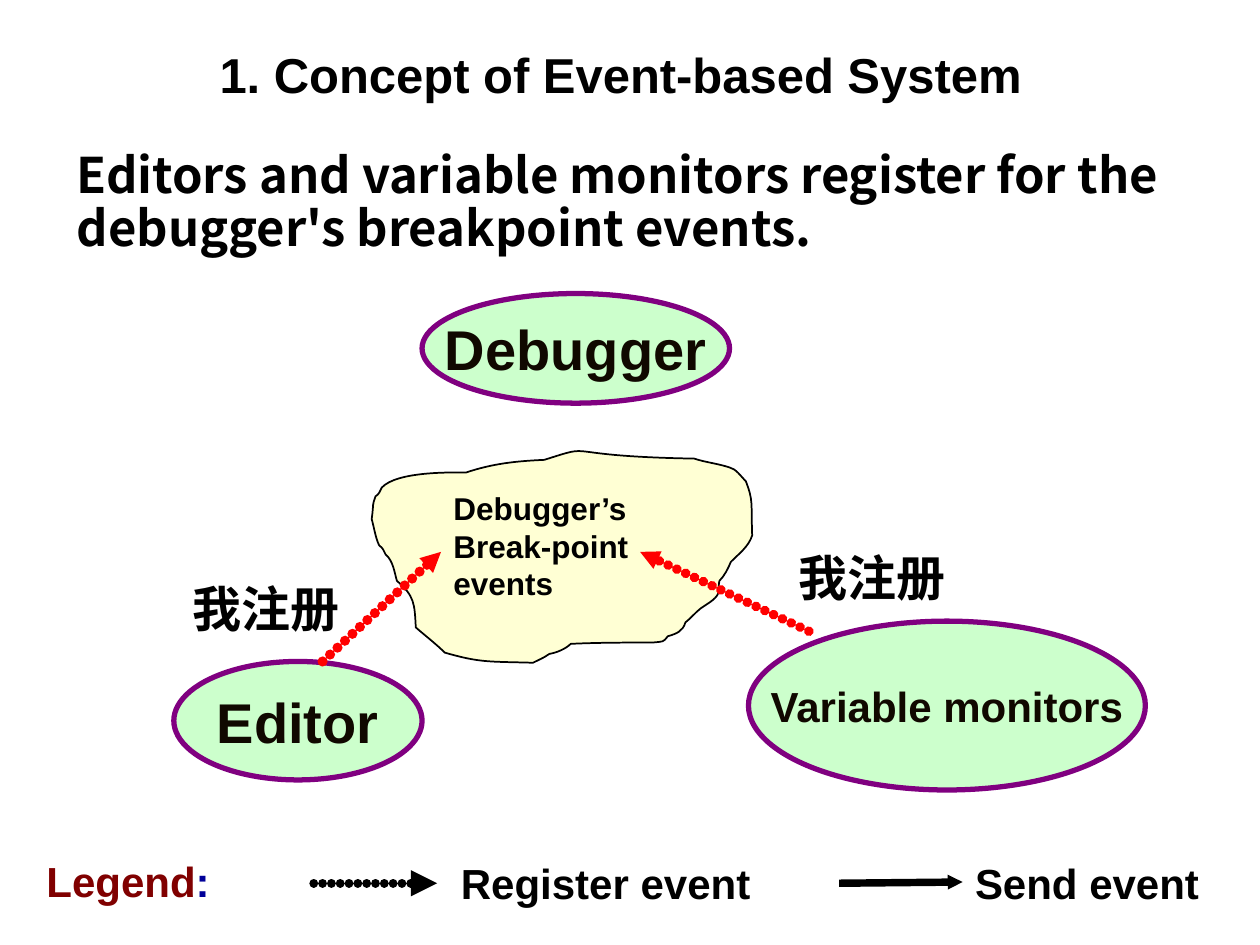
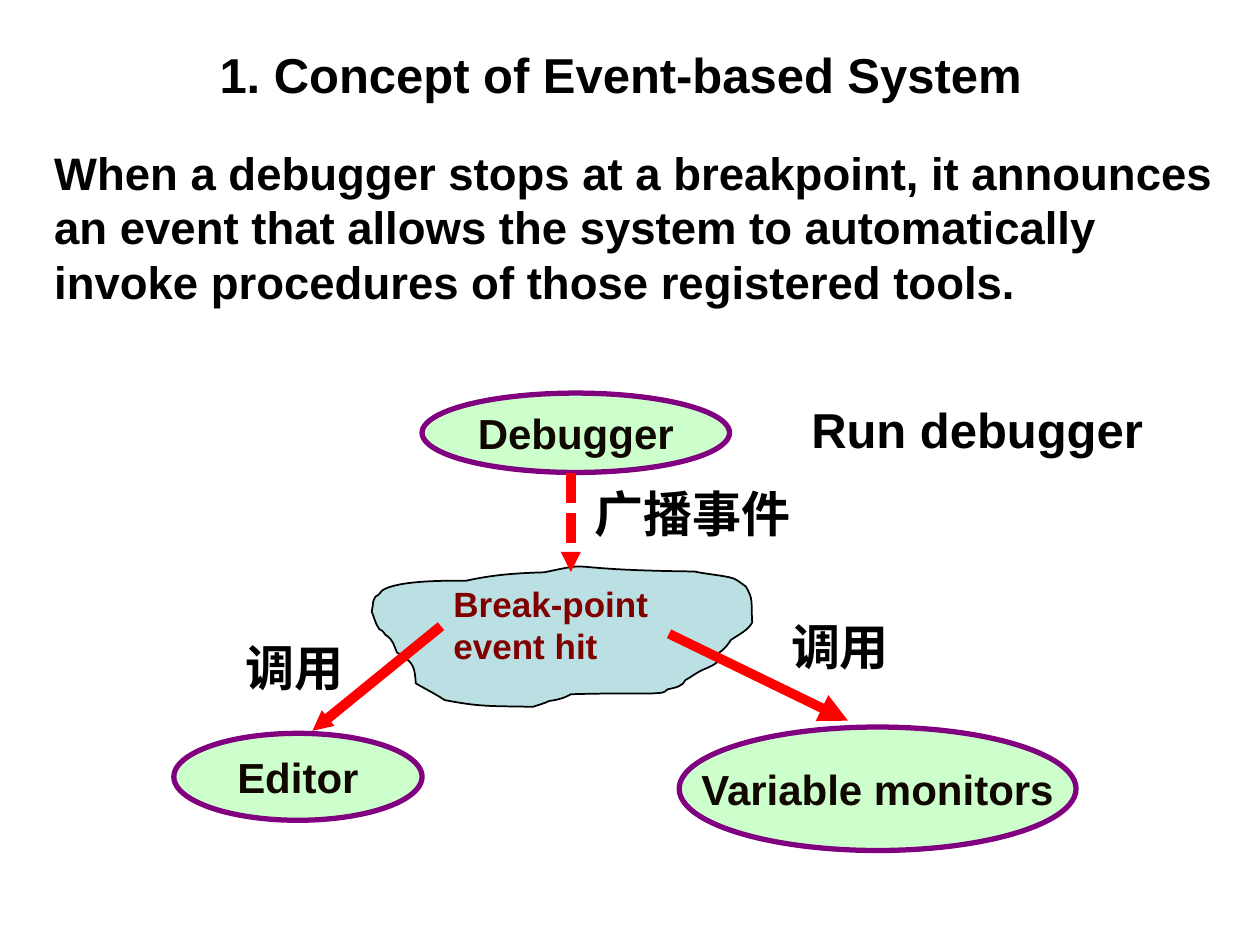
from dataclasses import dataclass

from lxml.etree import SubElement
from pptx import Presentation
from pptx.dml.color import RGBColor
from pptx.enum.dml import MSO_LINE_DASH_STYLE as Dash
from pptx.enum.shapes import MSO_CONNECTOR as Connector
from pptx.enum.shapes import MSO_SHAPE as Preset
from pptx.enum.text import MSO_ANCHOR as Anchor
from pptx.enum.text import MSO_AUTO_SIZE as AutoSize
from pptx.enum.text import PP_ALIGN as Align
from pptx.oxml.ns import qn
from pptx.util import Inches, Pt


@dataclass(frozen=True)
class Theme:
    latin: str = "Arial"
    chinese: str = "Noto Sans CJK SC"
    black: str = "000000"
    red: str = "FF0000"
    maroon: str = "800000"
    navy: str = "000099"
    purple: str = "800080"
    mint: str = "CCFFCC"
    tool_ink: str = "100800"
    yellow: str = "FFFF99"
    teal: str = "BBE0E3"
    huge: float = 32
    large: float = 28
    body: float = 26
    medium: float = 24
    event: float = 20
    small: float = 18


THEME = Theme()


@dataclass(frozen=True)
class Label:
    area: tuple[float, float, float, float]
    paragraphs: tuple[str, ...]
    size: float = THEME.large
    font: str = THEME.latin
    color: str = THEME.black
    align: Align = Align.LEFT
    inset: tuple[float, float] = (0.1, 0.05)
    line_spacing: float = 1
    space_before: float = 0
    fit: AutoSize = AutoSize.SHAPE_TO_FIT_TEXT
    ending: str = ""


@dataclass(frozen=True)
class Tool:
    area: tuple[float, float, float, float]
    name: str
    size: float = THEME.medium


@dataclass(frozen=True)
class Arrow:
    start: tuple[float, float]
    end: tuple[float, float]
    width: float
    color: str = THEME.red
    dotted: bool = False
    dash: Dash | None = None
    head: str = "sm"


@dataclass(frozen=True)
class Cloud:
    top: float
    height: float
    fill: str
    opacity: int = 100


CLOUD_LEFT, CLOUD_TOP, CLOUD_WIDTH, CLOUD_HEIGHT = 2.95, 3.51, 3.02, 1.75
CLOUD_START = (2.98, 3.94)
CLOUD_CURVES = (
    (2.99, 3.93, 3.01, 3.92, 3.01, 3.91), (3.02, 3.9, 3.02, 3.88, 3.03, 3.87),
    (3.15, 3.74, 3.58, 3.75, 3.7, 3.75), (3.91, 3.68, 4.09, 3.66, 4.32, 3.65),
    (4.76, 3.51, 4.38, 3.62, 5.51, 3.64), (5.6, 3.67, 5.7, 3.68, 5.79, 3.71),
    (5.84, 3.72, 5.88, 3.78, 5.92, 3.82), (5.98, 3.98, 5.96, 3.98, 5.97, 4.25),
    (5.94, 4.34, 5.87, 4.39, 5.8, 4.46), (5.78, 4.51, 5.75, 4.57, 5.71, 4.61),
    (5.7, 4.64, 5.71, 4.67, 5.7, 4.71), (5.68, 4.76, 5.6, 4.8, 5.56, 4.83),
    (5.52, 4.86, 5.48, 4.91, 5.44, 4.94), (5.42, 5.01, 5.37, 5.03, 5.3, 5.05),
    (5.26, 5.1, 5.27, 5.09, 5.18, 5.1), (4.96, 5.1, 4.75, 5.1, 4.53, 5.11),
    (4.49, 5.15, 4.42, 5.18, 4.36, 5.19), (4.32, 5.22, 4.27, 5.24, 4.23, 5.26),
    (3.87, 5.25, 3.81, 5.26, 3.53, 5.18), (3.46, 5.11, 3.38, 5.05, 3.3, 4.98),
    (3.29, 4.79, 3.29, 4.73, 3.15, 4.61), (3.13, 4.54, 3.12, 4.45, 3.06, 4.4),
    (3.05, 4.39, 3.05, 4.37, 3.04, 4.36), (3.04, 4.35, 3.02, 4.34, 3.01, 4.33),
    (2.98, 4.27, 2.97, 4.19, 2.95, 4.12), (2.97, 3.97, 2.95, 4.03, 2.98, 3.94),
)


def apply(target, values: dict) -> None:
    for name, value in values.items():
        setattr(target, name, value)


def add_span(para, text: str, size: float, font: str, color: str) -> None:
    span = para.add_run()
    span.text = text
    apply(span.font, {"size": Pt(size), "bold": True, "name": font})
    span.font.color.rgb = RGBColor.from_string(color)
    SubElement(span.font._element, qn("a:ea"), typeface=font)


def add_label(page, label: Label) -> None:
    box = page.shapes.add_textbox(*map(Inches, label.area))
    across, down = map(Inches, label.inset)
    frame = box.text_frame
    apply(frame, {"word_wrap": True, "auto_size": label.fit,
                  "margin_left": across, "margin_right": across,
                  "margin_top": down, "margin_bottom": down})
    for index, text in enumerate(label.paragraphs):
        para = frame.add_paragraph() if index else frame.paragraphs[0]
        apply(para, {"alignment": label.align, "line_spacing": label.line_spacing,
                     "space_before": Pt(label.space_before)})
        add_span(para, text, label.size, label.font, label.color)
    if label.ending:
        add_span(para, label.ending, label.size, label.font, THEME.navy)


def paint(shape, fill: str, line: str, width: float) -> None:
    shape.shadow.inherit = False
    shape.fill.solid()
    shape.fill.fore_color.rgb = RGBColor.from_string(fill)
    shape.line.color.rgb = RGBColor.from_string(line)
    shape.line.width = Pt(width)


def add_tool(page, tool: Tool) -> None:
    oval = page.shapes.add_shape(Preset.OVAL, *map(Inches, tool.area))
    paint(oval, THEME.mint, THEME.purple, 3)
    apply(oval.text_frame, {"word_wrap": False, "vertical_anchor": Anchor.MIDDLE})
    para = oval.text_frame.paragraphs[0]
    para.alignment = Align.CENTER
    add_span(para, tool.name, tool.size, THEME.latin, THEME.tool_ink)


def add_curve_step(outline, tag: str, numbers: tuple[float, ...], stretch: float) -> None:
    step = SubElement(outline, qn(tag))
    for x, y in zip(numbers[::2], numbers[1::2]):
        SubElement(step, qn("a:pt"), x=str(Inches(x - CLOUD_LEFT)),
                   y=str(Inches((y - CLOUD_TOP) * stretch)))


def add_cloud(page, cloud: Cloud) -> None:
    left, right = Inches(CLOUD_LEFT), Inches(CLOUD_LEFT + CLOUD_WIDTH)
    top, bottom = Inches(cloud.top), Inches(cloud.top + cloud.height)
    builder = page.shapes.build_freeform(left, top)
    builder.add_line_segments([(right, top), (right, bottom), (left, bottom)])
    shape = builder.convert_to_shape()
    outline = next(shape._element.iter(qn("a:path")))
    for corner in list(outline):
        outline.remove(corner)
    stretch = cloud.height / CLOUD_HEIGHT
    add_curve_step(outline, "a:moveTo", CLOUD_START, stretch)
    for curve in CLOUD_CURVES:
        add_curve_step(outline, "a:cubicBezTo", curve, stretch)
    SubElement(outline, qn("a:close"))
    paint(shape, cloud.fill, THEME.black, 1)
    if cloud.opacity < 100:
        color = shape._element.spPr.find(qn("a:solidFill"))[0]
        SubElement(color, qn("a:alpha"), val=str(cloud.opacity * 1000))


def add_arrow(page, arrow: Arrow) -> None:
    connector = page.shapes.add_connector(
        Connector.STRAIGHT, *map(Inches, arrow.start + arrow.end))
    connector.line.color.rgb = RGBColor.from_string(arrow.color)
    connector.line.width = Pt(arrow.width)
    if arrow.dash:
        connector.line.dash_style = arrow.dash
    outline = connector.line._get_or_add_ln()
    if arrow.dotted:
        outline.set("cap", "rnd")
        dots = SubElement(outline, qn("a:custDash"))
        SubElement(dots, qn("a:ds"), d="100000", sp="1000")
    SubElement(outline, qn("a:tailEnd"), type="triangle", w=arrow.head, len=arrow.head)
    SubElement(connector._element.spPr, qn("a:effectLst"))


def chinese(left: float, top: float, width: float, text: str, inset: float = 0.1) -> Label:
    return Label((left, top, width, 0.57), (text,), font=THEME.chinese,
                 inset=(inset, 0.05), space_before=17.5)


def legend(left: float, top: float, width: float, text: str,
           color: str = THEME.black, ending: str = "") -> Label:
    return Label((left, top, width, 0.5), (text,), THEME.medium, color=color,
                 space_before=15, ending=ending)


DRAWERS = {Label: add_label, Tool: add_tool, Cloud: add_cloud, Arrow: add_arrow}

TITLE = Label((0.35, 0.3, 9.15, 0.61), ("1. Concept of Event-based System",),
              align=Align.CENTER, fit=AutoSize.NONE)

REGISTER_PAGE = (
    Label((0.51, 1.15, 9.06, 0.94),
          ("Editors and variable monitors register for the debugger's breakpoint events.",),
          font=THEME.chinese, line_spacing=0.9, space_before=7),
    Arrow((2.49, 7.01), (3.47, 7.01), 5, THEME.black, dotted=True, head="med"),
    legend(3.56, 6.76, 2.66, "Register event"),
    Arrow((6.66, 7.01), (7.64, 7), 4.25, THEME.black),
    legend(7.64, 6.76, 2.04, "Send event"),
    legend(0.27, 6.74, 1.69, "Legend", THEME.maroon, ":"),
    Tool((3.35, 2.33, 2.44, 0.87), "Debugger", THEME.huge),
    Tool((1.38, 5.25, 1.97, 0.94), "Editor", THEME.huge),
    Tool((5.94, 4.93, 3.15, 1.34), "Variable monitors"),
    Cloud(CLOUD_TOP, CLOUD_HEIGHT, THEME.yellow, opacity=42),
    Label((3.5, 3.83, 1.81, 1), ("Debugger’s", "Break-point events"), THEME.small),
    Arrow((6.42, 5.01), (5.08, 4.38), 5.5, dotted=True),
    Arrow((2.56, 5.25), (3.5, 4.38), 5.75, dotted=True),
    chinese(1.53, 4.54, 1.26, "我注册", inset=0),
    chinese(6.34, 4.3, 1.26, "我注册", inset=0),
)

ANNOUNCE_PAGE = (
    Label((0.43, 1.15, 9.29, 1.3),
          ("When a debugger stops at a breakpoint, it announces an event that allows "
           "the system to automatically invoke procedures of those registered tools.",),
          THEME.body, inset=(0, 0)),
    Tool((3.35, 3.12, 2.44, 0.63), "Debugger"),
    Tool((1.38, 5.82, 1.97, 0.69), "Editor"),
    Tool((5.39, 5.77, 3.15, 0.98), "Variable monitors"),
    Cloud(4.45, 1.16, THEME.teal),
    Label((3.5, 4.57, 1.81, 0.77), ("Break-point event hit",), THEME.event,
          color=THEME.maroon),
    Arrow((4.53, 3.75), (4.53, 4.54), 5.75, dash=Dash.SQUARE_DOT),
    chinese(4.62, 3.79, 1.89, "广播事件"),
    Arrow((5.31, 5.03), (6.73, 5.72), 5.5, head="med"),
    chinese(6.18, 4.84, 1.18, "调用"),
    Arrow((3.5, 4.97), (2.48, 5.8), 5.75),
    chinese(1.85, 5.01, 1.02, "调用"),
    Label((6.34, 3.12, 3.15, 0.57), ("Run debugger",)),
)


def add_page(deck, items: tuple) -> None:
    page = deck.slides.add_slide(deck.slide_layouts[6])
    for item in items + (TITLE,):
        DRAWERS[type(item)](page, item)


def main() -> None:
    deck = Presentation()
    apply(deck, {"slide_width": Inches(10), "slide_height": Inches(7.5)})
    for items in (REGISTER_PAGE, ANNOUNCE_PAGE):
        add_page(deck, items)
    deck.save("out.pptx")


if __name__ == "__main__":
    main()
